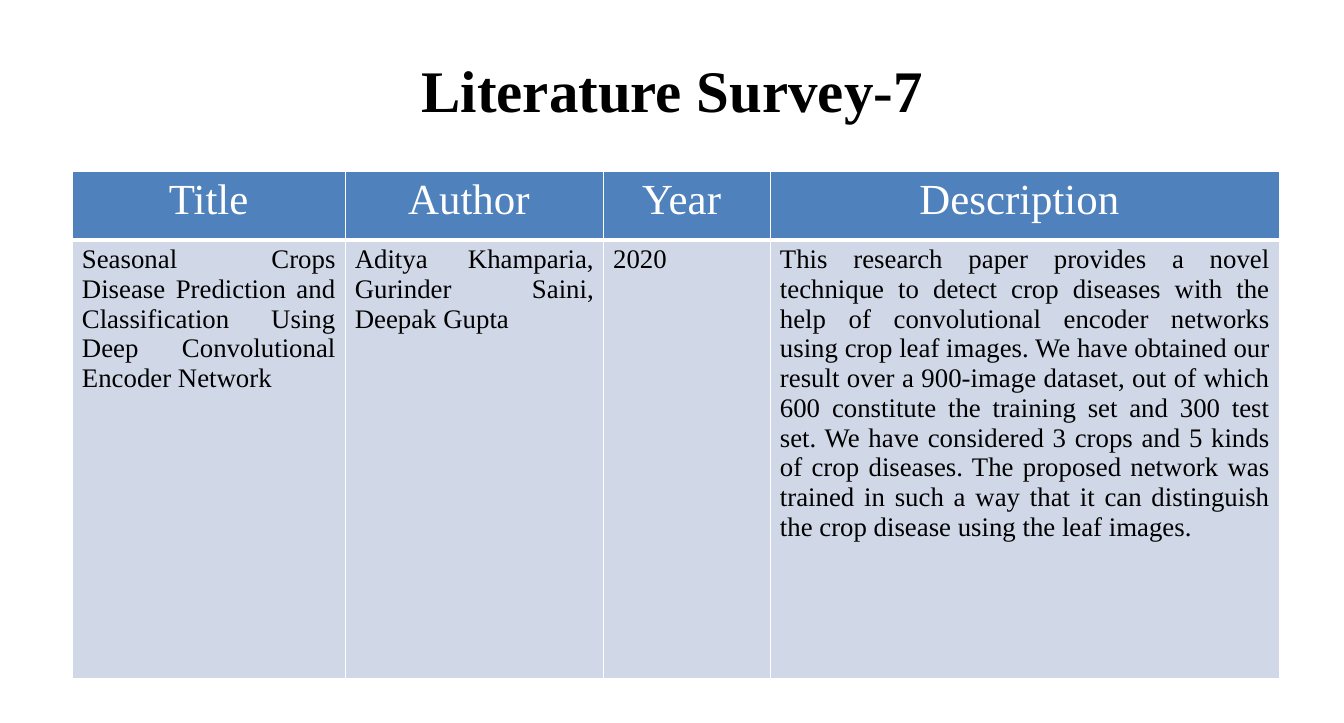
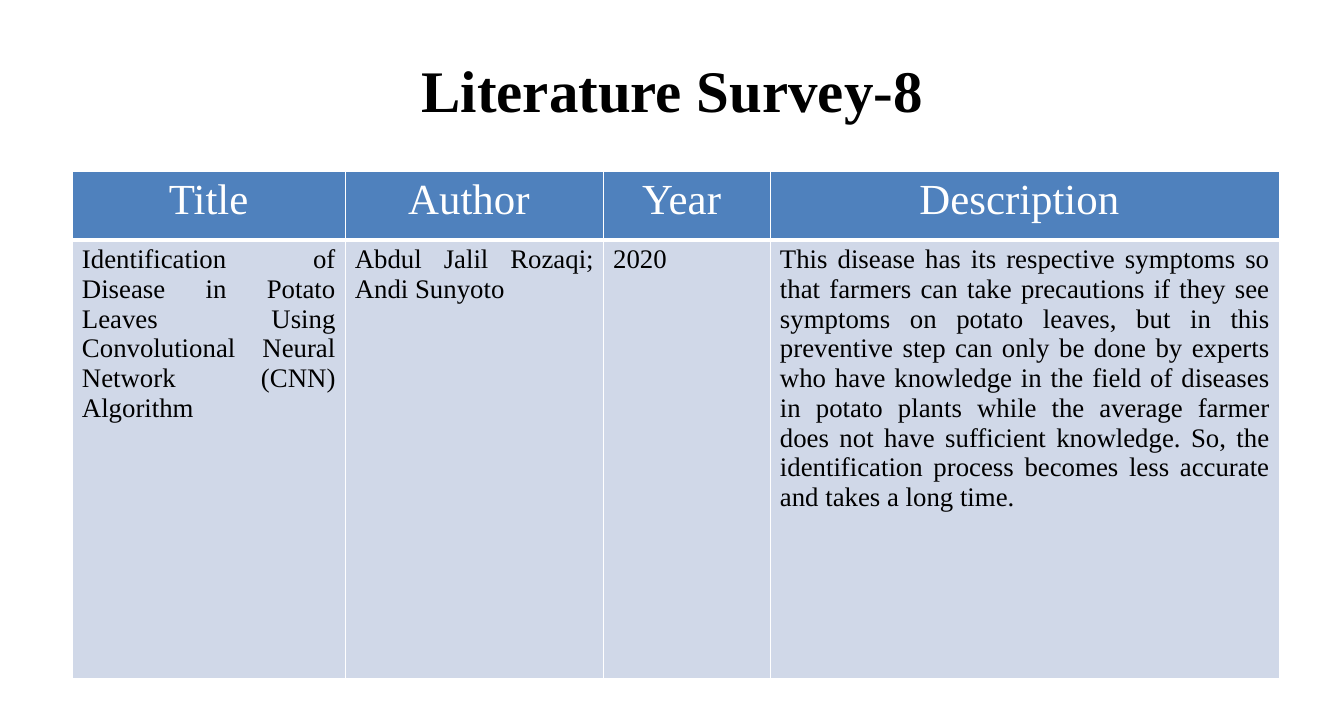
from pptx import Presentation
from pptx.dml.color import RGBColor
from pptx.enum import text
from pptx.oxml import ns
from pptx.util import Pt
from lxml import etree

PX = 9144  # EMU per px, 100 px to the inch
FONT = "Times New Roman"
HUES = {"ink": "000000", "paper": "FFFFFF", "head": "4F81BD", "body": "D0D8E8"}
ALIGN = text.PP_ALIGN

COLS = [283, 268, 173, 528]
ROWS = [71, 455]
HEADS = ["Title", "Author ", "Year ", "Description "]

# Title and table row of each slide
PAPERS = [
    ("Literature Survey-7", [
        "Seasonal Crops Disease Prediction and Classification Using Deep "
        "Convolutional Encoder Network",
        "Aditya Khamparia, Gurinder Saini, Deepak Gupta",
        "2020",
        "This research paper provides a novel technique to detect crop diseases "
        "with the help of convolutional encoder networks using crop leaf images. "
        "We have obtained our result over a 900-image dataset, out of which 600 "
        "constitute the training set and 300 test set. We have considered 3 crops "
        "and 5 kinds of crop diseases. The proposed network was trained in such a "
        "way that it can distinguish the crop disease using the leaf images. ",
    ]),
    ("Literature Survey-8", [
        "Identification of Disease in Potato Leaves Using Convolutional Neural "
        "Network (CNN) Algorithm",
        "Abdul Jalil Rozaqi; Andi Sunyoto",
        "2020",
        "This disease has its respective symptoms so that farmers can take "
        "precautions if they see symptoms on potato leaves, but in this preventive "
        "step can only be done by experts who have knowledge in the field of "
        "diseases in potato plants while the average farmer does not have "
        "sufficient knowledge. So, the identification process becomes less "
        "accurate and takes a long time. ",
    ]),
]


class Deck:
    def __init__(self, wide, high):
        self.file = Presentation()
        self.file.slide_width = wide * PX
        self.file.slide_height = high * PX
        self.slide = None

    def page(self):
        self.slide = self.file.slides.add_slide(self.file.slide_layouts[6])
        back = self.slide.background.fill
        back.solid()
        back.fore_color.rgb = RGBColor.from_string(HUES["paper"])

    def label(self, frame, words, size, hue, align, bold=False):
        frame.word_wrap = True
        para = frame.paragraphs[0]
        para.alignment = align
        run = para.add_run()
        run.text = words
        font = run.font
        font.name, font.size, font.bold = FONT, Pt(size), bold
        font.color.rgb = RGBColor.from_string(HUES[hue])

    def title(self, words):
        box = self.slide.shapes.add_textbox(70 * PX, 30 * PX, 1255 * PX, 125 * PX)
        box.text_frame.vertical_anchor = text.MSO_ANCHOR.MIDDLE
        self.label(box.text_frame, words, 44, "ink", ALIGN.CENTER, True)

    def edge(self, cell, side, width):
        props = cell._tc.get_or_add_tcPr()
        line = etree.SubElement(props, ns.qn("a:ln" + side), w=str(Pt(width)))
        fill = etree.SubElement(line, ns.qn("a:solidFill"))
        etree.SubElement(fill, ns.qn("a:srgbClr"), val=HUES["paper"])

    def cell(self, cell, words, head):
        # Borders come before the fill in the cell's XML
        for side in "LRTB":
            self.edge(cell, side, 3 if head and side == "B" else 1)
        cell.fill.solid()
        cell.fill.fore_color.rgb = RGBColor.from_string(HUES["head" if head else "body"])
        if head:
            self.label(cell.text_frame, words, 32, "paper", ALIGN.CENTER)
        else:
            self.label(cell.text_frame, words, 20, "ink", ALIGN.JUSTIFY)

    def table(self, rows):
        grid = self.slide.shapes.add_table(
            len(ROWS), len(COLS), 75 * PX, 178 * PX, sum(COLS) * PX, sum(ROWS) * PX).table
        for col, wide in zip(grid.columns, COLS):
            col.width = wide * PX
        for r, (high, row) in enumerate(zip(ROWS, rows)):
            grid.rows[r].height = high * PX
            for c, words in enumerate(row):
                self.cell(grid.cell(r, c), words, r == 0)


def main():
    deck = Deck(1394, 750)
    for name, row in PAPERS:
        deck.page()
        deck.title(name)
        deck.table([HEADS, row])
    deck.file.save("out.pptx")


if __name__ == "__main__":
    main()
